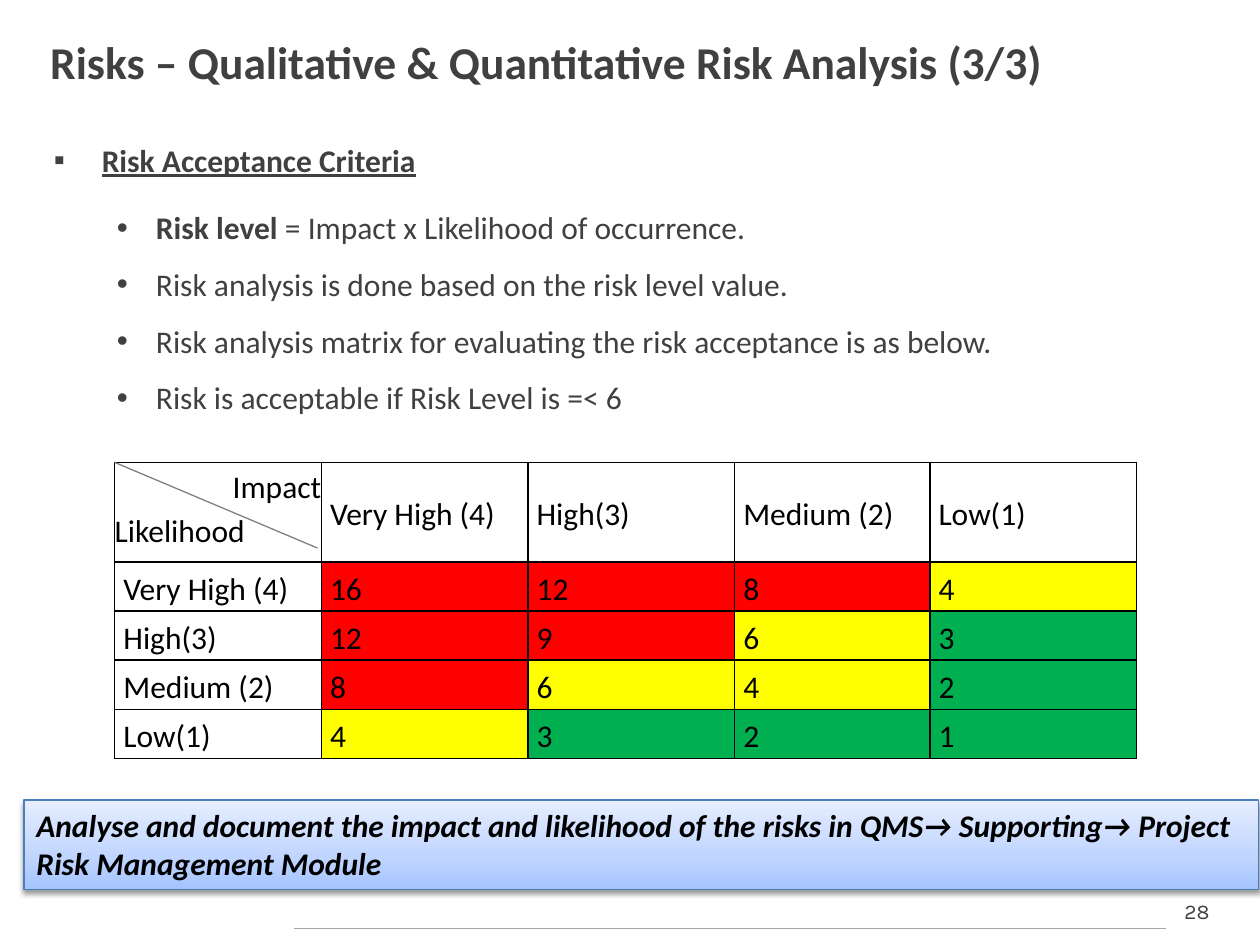
from copy import deepcopy

from lxml import etree
from pptx import Presentation
from pptx.dml.color import RGBColor
from pptx.enum.shapes import MSO_CONNECTOR, MSO_SHAPE
from pptx.enum.text import MSO_ANCHOR, PP_ALIGN
from pptx.oxml import parse_xml
from pptx.oxml.ns import nsdecls, qn
from pptx.util import Inches, Pt

GREY = "404040"
BLACK = "000000"
LEVELS = [("Very High (4)", 4), ("High(3)", 3), ("Medium (2)", 2), ("Low(1)", 1)]
CRITERIA = [
    [("Risk level ", True), ("= Impact x Likelihood of occurrence.", False)],
    [("Risk analysis is done based on the risk level value.", False)],
    [("Risk analysis matrix for evaluating the risk acceptance is as below.", False)],
    [("Risk is acceptable if Risk Level is =< 6", False)],
]


def rgb(value):
    return RGBColor.from_string(value)


def style(span, size, color, bold=False, italic=False, underline=False, font="Calibri"):
    span.font.name = font
    span.font.size = Pt(size)
    span.font.bold = bold
    span.font.italic = italic
    span.font.underline = underline
    span.font.color.rgb = rgb(color)


def add_text_box(page, left, top, width, height, anchor=MSO_ANCHOR.TOP):
    box = page.shapes.add_textbox(Inches(left), Inches(top), Inches(width), Inches(height))
    box.text_frame.word_wrap = True
    box.text_frame.vertical_anchor = anchor
    return box.text_frame


def add_line(page, start, end, color):
    line = page.shapes.add_connector(
        MSO_CONNECTOR.STRAIGHT, *(Inches(value) for value in start + end))
    line.line.color.rgb = rgb(color)
    line.line.width = Pt(0.75)
    etree.SubElement(line._element.spPr, qn("a:effectLst"))


def set_bullet(para, symbol, margin, hanging):
    properties = para._p.get_or_add_pPr()
    properties.set("marL", str(Inches(margin)))
    properties.set("indent", str(-Inches(hanging)))
    etree.SubElement(properties, qn("a:buFont"), typeface="Arial")
    etree.SubElement(properties, qn("a:buChar"), char=symbol)


def add_criteria(page):
    frame = add_text_box(page, 0.33, 0.92, 8.83, 2.92)
    heading = frame.paragraphs[0]
    heading.text = "Risk Acceptance Criteria"
    heading.line_spacing = 1.5
    heading.space_after = Pt(6)
    style(heading.runs[0], 18, GREY, bold=True, underline=True)
    set_bullet(heading, "▪", 0.38, 0.38)
    for parts in CRITERIA:
        para = frame.add_paragraph()
        para.level = 1
        para.line_spacing = 1.5
        for text, bold in parts:
            span = para.add_run()
            span.text = text
            style(span, 18, GREY, bold=bold)
        set_bullet(para, "•", 0.81, 0.31)


def set_borders(cell):
    properties = cell._tc.get_or_add_tcPr()
    for index, side in enumerate(("lnL", "lnR", "lnT", "lnB")):
        properties.insert(index, parse_xml(
            f'<a:{side} {nsdecls("a")} w="{Pt(1)}"><a:solidFill>'
            f'<a:srgbClr val="{BLACK}"/></a:solidFill></a:{side}>'))


def fill_cell(cell, text, fill=None, margin=0.07, anchor=MSO_ANCHOR.MIDDLE):
    cell.margin_left = cell.margin_right = Inches(margin)
    cell.margin_top = cell.margin_bottom = 0
    cell.vertical_anchor = anchor
    if fill:
        cell.fill.solid()
        cell.fill.fore_color.rgb = rgb(fill)
    else:
        cell.fill.background()
    set_borders(cell)
    cell.text_frame.text = text
    for para in cell.text_frame.paragraphs:
        para.line_spacing = 1.15
        style(para.runs[0], 18, BLACK)


def risk_color(level):
    if level > 6:
        return "FF0000"
    return "FFFF00" if level >= 4 else "00B050"


def add_risk_matrix(page):
    table = page.shapes.add_table(
        5, 5, Inches(0.91), Inches(3.67), Inches(8.11), Inches(2.36)).table
    table.first_row = table.horz_banding = False
    for column, width in zip(table.columns, (1.64, 1.64, 1.64, 1.55, 1.64)):
        column.width = Inches(width)
    for row, height in zip(table.rows, (0.79, 0.39, 0.39, 0.39, 0.39)):
        row.height = Inches(height)

    corner = table.cell(0, 0)
    fill_cell(corner, "Impact\nLikelihood", margin=0, anchor=MSO_ANCHOR.TOP)
    corner.text_frame.paragraphs[0].alignment = PP_ALIGN.RIGHT
    for row, (label, likelihood) in enumerate(LEVELS, 1):
        fill_cell(table.cell(0, row), label)
        fill_cell(table.cell(row, 0), label)
        for column, (_, impact) in enumerate(LEVELS, 1):
            level = likelihood * impact
            fill_cell(table.cell(row, column), str(level), risk_color(level))


def add_banner(page, text):
    banner = page.shapes.add_shape(
        MSO_SHAPE.RECTANGLE, Inches(0.19), Inches(6.35), Inches(9.8), Inches(0.71))
    banner.line.color.rgb = rgb("4B7EBC")
    banner.line.width = Pt(0.75)

    banner.fill.gradient()
    banner.fill.gradient_angle = 90
    stop_list = banner._element.spPr.find(".//" + qn("a:gsLst"))
    stop_list.append(deepcopy(stop_list[-1]))
    stops = [(0, "A4C4FF"), (0.35, "BFD4FF"), (1, "E6EEFF")]
    for stop, (position, color) in zip(banner.fill.gradient_stops, stops):
        stop.position = position
        stop.color.rgb = rgb(color)

    banner.shadow.inherit = False
    banner._element.spPr.find(qn("a:effectLst")).append(parse_xml(
        f'<a:outerShdw {nsdecls("a")} blurRad="{Pt(3.1)}" dist="{Pt(1.6)}" dir="5400000" '
        f'rotWithShape="0"><a:srgbClr val="{BLACK}"><a:alpha val="38000"/></a:srgbClr>'
        '</a:outerShdw>'))

    frame = banner.text_frame
    frame.word_wrap = True
    frame.vertical_anchor = MSO_ANCHOR.TOP
    frame.text = text
    frame.paragraphs[0].alignment = PP_ALIGN.LEFT
    style(frame.paragraphs[0].runs[0], 18, BLACK, bold=True, italic=True)


def add_title(page, text):
    frame = add_text_box(page, 0.3, 0.17, 9.36, 0.63, MSO_ANCHOR.MIDDLE)
    frame.text = text
    style(frame.paragraphs[0].runs[0], 26, GREY, bold=True)


def add_page_number(page, number):
    frame = add_text_box(page, 9.25, 7.08, 0.5, 0.3)
    frame.text = number
    frame.paragraphs[0].alignment = PP_ALIGN.CENTER
    style(frame.paragraphs[0].runs[0], 12, GREY, font="Karla")


def main():
    deck = Presentation()
    deck.slide_width = Inches(10)
    deck.slide_height = Inches(7.5)
    page = deck.slides.add_slide(deck.slide_layouts[6])
    add_page_number(page, "28")
    add_line(page, (2.33, 7.37), (9.25, 7.37), "A6A6A6")
    add_risk_matrix(page)
    add_title(page, "Risks – Qualitative & Quantitative Risk Analysis (3/3)")
    add_criteria(page)
    add_line(page, (0.91, 3.67), (2.52, 4.35), "808080")
    add_banner(page, "Analyse and document the impact and likelihood of the risks in "
                     "QMS→ Supporting→ Project Risk Management Module")
    deck.save("out.pptx")


if __name__ == "__main__":
    main()
